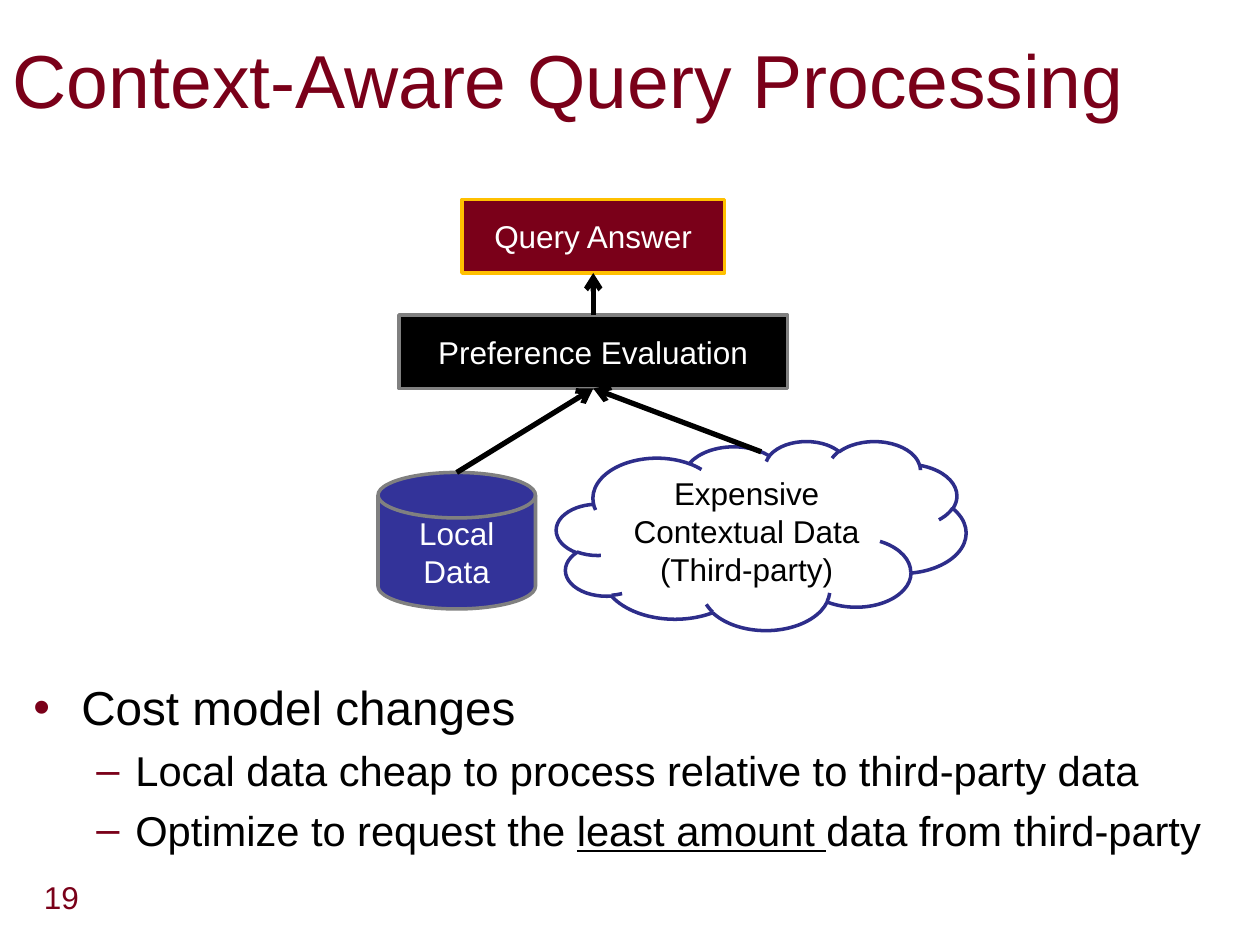
from dataclasses import dataclass

from lxml import etree
from pptx import Presentation
from pptx.dml.color import RGBColor
from pptx.enum.shapes import MSO_CONNECTOR, MSO_SHAPE
from pptx.enum.text import MSO_ANCHOR, PP_ALIGN
from pptx.oxml.ns import qn
from pptx.util import Inches, Pt

COLS, ROWS = 120, 90
PROCESS = MSO_SHAPE.FLOWCHART_PROCESS
DISK = MSO_SHAPE.FLOWCHART_MAGNETIC_DISK
CLOUD = MSO_SHAPE.CLOUD
STRAIGHT = MSO_CONNECTOR.STRAIGHT
CENTER, LEFT = PP_ALIGN.CENTER, PP_ALIGN.LEFT
TOP, MIDDLE = MSO_ANCHOR.TOP, MSO_ANCHOR.MIDDLE
FONT = "Arial"
COLORS = {
    "maroon": "7A0019",
    "gold": "FFC000",
    "black": "000000",
    "white": "FFFFFF",
    "gray": "808080",
    "blue": "333399",
    "navy": "2D2D8A",
}


@dataclass(frozen=True)
class Box:
    col: float
    row: float
    cols: float
    rows: float

    @property
    def top(self) -> tuple[float, float]:
        return self.col + self.cols / 2, self.row

    @property
    def bottom(self) -> tuple[float, float]:
        return self.col + self.cols / 2, self.row + self.rows


@dataclass(frozen=True)
class Node:
    kind: int
    box: Box
    lines: tuple[str, ...]
    fill: str
    line: str
    color: str = "white"


@dataclass(frozen=True)
class Bullet:
    runs: tuple[tuple[str, bool], ...]
    level: int = 0


@dataclass(frozen=True)
class Level:
    mark: str
    size: float
    margin: float
    hang: float
    before: float


ANSWER = Box(44, 19, 25, 7)
EVALUATION = Box(38, 30, 37, 7)
LOCAL = Box(36, 45, 15, 13)
THIRD_PARTY = Box(53, 42, 39, 18)
CLOUD_EDGE = (THIRD_PARTY.top[0], 43.03)

NODES = (
    Node(PROCESS, EVALUATION, ("Preference Evaluation",), "black", "gray"),
    Node(DISK, LOCAL, ("Local", "Data"), "blue", "gray"),
    Node(CLOUD, THIRD_PARTY, ("Expensive Contextual Data (Third-party)",),
         "white", "navy", "black"),
    Node(PROCESS, ANSWER, ("Query Answer",), "maroon", "gold"),
)
ARROWS = (
    (LOCAL.top, EVALUATION.bottom),
    (CLOUD_EDGE, EVALUATION.bottom),
    (EVALUATION.top, ANSWER.bottom),
)
LEVELS = (
    Level("•", 27.2, 0.38, 0.38, 6.3),
    Level("–", 23.8, 0.81, 0.31, 5.5),
)
BULLETS = (
    Bullet((("Cost model changes", False),)),
    Bullet((("Local data cheap to process relative to third-party data", False),), 1),
    Bullet((("Optimize to request the ", False), ("least amount ", True),
            ("data from third-party", False)), 1),
)

prs = Presentation()
prs.slide_width, prs.slide_height = Inches(10), Inches(7.5)
slide = prs.slides.add_slide(prs.slide_layouts[6])


def at(col: float, row: float) -> tuple[int, int]:
    return round(prs.slide_width * col / COLS), round(prs.slide_height * row / ROWS)


def area(box: Box) -> tuple[int, int, int, int]:
    return *at(box.col, box.row), *at(box.cols, box.rows)


def rgb(name: str) -> RGBColor:
    return RGBColor.from_string(COLORS[name])


def add_run(p, text: str, *, size: float = 18, color: str = "black",
            underline: bool = False) -> None:
    r = p.add_run()
    r.text = text
    r.font.name, r.font.size = FONT, Pt(size)
    r.font.color.rgb = rgb(color)
    if underline:
        r.font.underline = True


def write(tf, *lines: str, align=LEFT, anchor=MIDDLE, wrap: bool = True, **fmt) -> None:
    tf.word_wrap = wrap
    tf.vertical_anchor = anchor
    for i, text in enumerate(lines):
        p = tf.add_paragraph() if i else tf.paragraphs[0]
        p.alignment = align
        add_run(p, text, **fmt)


def add_label(box: Box, text: str, **fmt) -> None:
    write(slide.shapes.add_textbox(*area(box)).text_frame, text, **fmt)


def add_node(node: Node) -> None:
    sp = slide.shapes.add_shape(node.kind, *area(node.box))
    sp.shadow.inherit = False
    sp.fill.solid()
    sp.fill.fore_color.rgb = rgb(node.fill)
    sp.line.color.rgb = rgb(node.line)
    sp.line.width = Pt(2)
    write(sp.text_frame, *node.lines, align=CENTER, color=node.color)


def add_arrow(start: tuple[float, float], end: tuple[float, float]) -> None:
    cxn = slide.shapes.add_connector(STRAIGHT, *at(*start), *at(*end))
    cxn.line.color.rgb = rgb("black")
    cxn.line.width = Pt(3)
    etree.SubElement(cxn.line._get_or_add_ln(), qn("a:tailEnd"), type="arrow")
    etree.SubElement(cxn._element.spPr, qn("a:effectLst"))


def add_bullets(box: Box, bullets: tuple[Bullet, ...]) -> None:
    tf = slide.shapes.add_textbox(*area(box)).text_frame
    tf.word_wrap = True
    for i, bullet in enumerate(bullets):
        level = LEVELS[bullet.level]
        p = tf.add_paragraph() if i else tf.paragraphs[0]
        p.level = bullet.level
        p.space_before = Pt(level.before)
        pPr = p._p.get_or_add_pPr()
        pPr.set("marL", str(Inches(level.margin)))
        pPr.set("indent", str(-Inches(level.hang)))
        clr = etree.SubElement(pPr, qn("a:buClr"))
        etree.SubElement(clr, qn("a:srgbClr"), val=COLORS["maroon"])
        etree.SubElement(pPr, qn("a:buFont"), typeface=FONT)
        etree.SubElement(pPr, qn("a:buChar"), char=level.mark)
        for text, underline in bullet.runs:
            add_run(p, text, size=level.size, underline=underline)


add_label(Box(3, 83, 6, 5), "19", color="maroon", anchor=TOP, wrap=False)
add_bullets(Box(2, 64, 116, 20), BULLETS)
for node in NODES:
    add_node(node)
for start, end in ARROWS:
    add_arrow(start, end)
add_label(Box(0, 0, COLS, 15), "Context-Aware Query Processing", size=42.9, color="maroon")

prs.save("out.pptx")
